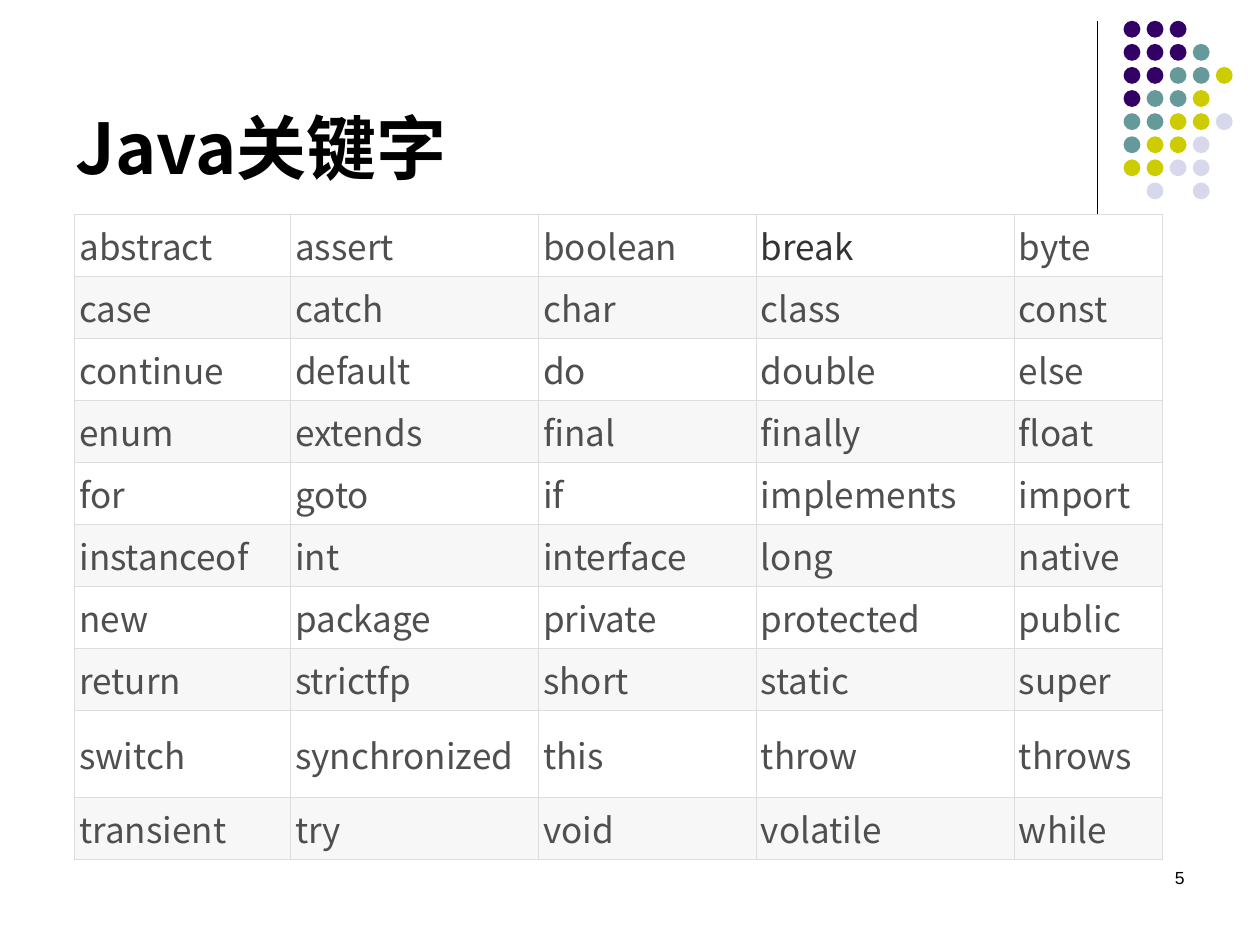
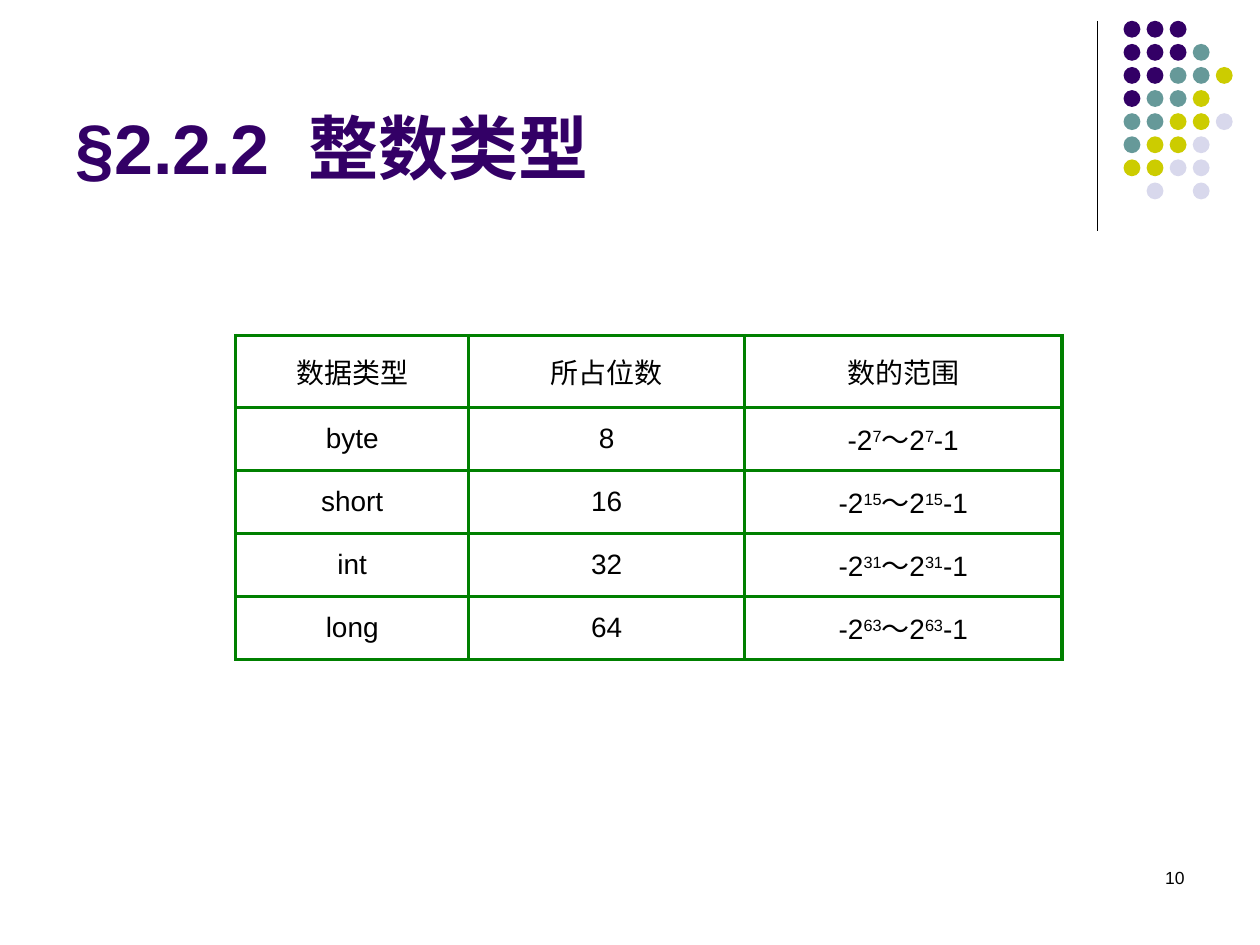
import lxml.etree
import pptx
import pptx.dml.color
import pptx.enum.shapes
import pptx.enum.text
import pptx.oxml.ns
import pptx.util

Cm = pptx.util.Cm
Pt = pptx.util.Pt
ALIGN = pptx.enum.text.PP_ALIGN
ANCHOR = pptx.enum.text.MSO_ANCHOR
qn = pptx.oxml.ns.qn

COLORS = {
    "black": "000000", "white": "FFFFFF", "purple": "330066", "teal": "669999",
    "olive": "CCCC00", "lavender": "D8D8EC", "text": "4F4F4F", "strong": "333333",
    "stripe": "F7F7F7", "grid": "DDDDDD", "green": "008000",
}
LATIN = "Arial"
CJK = "Noto Sans CJK SC"

DOT_COLORS = {"p": "purple", "t": "teal", "o": "olive", "l": "lavender"}
DOT_ROWS = ["ppp", "pppt", "pptto", "ptto", "ttool", "tool", "ooll", " l l"]

TITLE_BOX = (1.27, 0.33, 22.23, 3.6)
DOTS_BOX = (22.65, 0.42, 2.2, 3.6)
RULE_BOX = (22.12, 0.42, 0, 4.23)
NUMBER_BOX = (18.2, 17.35, 5.93, 1.27)
KEYWORDS_BOX = (1.5, 4.32, 21.94, 13.0)
INTEGERS_BOX = (4.75, 6.76, 16.66, 6.53)

KEYWORDS = """
abstract assert boolean break byte
case catch char class const
continue default do double else
enum extends final finally float
for goto if implements import
instanceof int interface long native
new package private protected public
return strictfp short static super
switch synchronized this throw throws
transient try void volatile while
"""
INTEGER_HEADER = ["数据类型", "所占位数", "数的范围"]
INTEGER_BITS = {"byte": 8, "short": 16, "int": 32, "long": 64}


def rgb(name):
    """Return the named palette colour."""
    return pptx.dml.color.RGBColor.from_string(COLORS[name])


def add_run(p, text, size, color="black", font=LATIN, bold=False):
    """Append a formatted run to a paragraph."""
    r = p.add_run()
    r.text = text
    r.font.size = Pt(size)
    r.font.bold = bold
    r.font.name = font
    r.font.color.rgb = rgb(color)
    ea = lxml.etree.SubElement(r._r.get_or_add_rPr(), qn("a:ea"))
    ea.set("typeface", CJK)
    return r


def add_text(slide, box, anchor, align):
    """Add a wrapping text box and return its paragraph."""
    tf = slide.shapes.add_textbox(*map(Cm, box)).text_frame
    tf.word_wrap = True
    tf.vertical_anchor = anchor
    p = tf.paragraphs[0]
    p.alignment = align
    return p


def add_rule(slide, box):
    """Draw the thin vertical rule along the box."""
    left, top, width, height = map(Cm, box)
    line = slide.shapes.add_connector(
        pptx.enum.shapes.MSO_CONNECTOR.STRAIGHT, left, top, left + width, top + height)
    line.line.color.rgb = rgb("black")
    line.line.width = Pt(0.75)
    lxml.etree.SubElement(line._element.spPr, qn("a:effectLst"))


def add_dots(slide, box):
    """Fill the box with the grouped pattern of coloured dots."""
    left, top, width, height = map(Cm, box)
    size = Cm(0.34)
    step_x = (width - size) / 4
    step_y = (height - size) / (len(DOT_ROWS) - 1)
    group = slide.shapes.add_group_shape()
    for i, row in enumerate(DOT_ROWS):
        for j, key in enumerate(row):
            if key == " ":
                continue
            sp = group.shapes.add_shape(
                pptx.enum.shapes.MSO_SHAPE.OVAL,
                int(left + j * step_x), int(top + i * step_y), size, size)
            sp.shadow.inherit = False
            sp.fill.solid()
            sp.fill.fore_color.rgb = rgb(DOT_COLORS[key])
            sp.line.fill.background()


def add_frame(prs, number):
    """Add a slide with the shared decoration and number; return it with its title paragraph."""
    slide = prs.slides.add_slide(prs.slide_layouts[6])
    add_rule(slide, RULE_BOX)
    add_dots(slide, DOTS_BOX)
    title = add_text(slide, TITLE_BOX, ANCHOR.BOTTOM, ALIGN.LEFT)
    p = add_text(slide, NUMBER_BOX, ANCHOR.TOP, ALIGN.RIGHT)
    add_run(p, str(number), 10)
    return slide, title


def add_grid(slide, box, col_parts, row_parts):
    """Add a plain table that divides the box in the given proportions."""
    left, top, width, height = map(Cm, box)
    table = slide.shapes.add_table(
        len(row_parts), len(col_parts), left, top, width, height).table
    table.first_row = False
    table.horz_banding = False
    for col, part in zip(table.columns, col_parts):
        col.width = int(width * part / sum(col_parts))
    for row, part in zip(table.rows, row_parts):
        row.height = int(height * part / sum(row_parts))
    return table


def style_cell(cell, border, border_width, fill=None, inset=None):
    """Set a cell's borders, fill, insets and anchor."""
    tc_pr = cell._tc.get_or_add_tcPr()
    for side in ("lnL", "lnR", "lnT", "lnB"):
        ln = lxml.etree.SubElement(tc_pr, qn("a:" + side), w=str(Pt(border_width)))
        solid = lxml.etree.SubElement(ln, qn("a:solidFill"))
        lxml.etree.SubElement(solid, qn("a:srgbClr"), val=COLORS[border])
    if fill:
        cell.fill.solid()
        cell.fill.fore_color.rgb = rgb(fill)
    else:
        cell.fill.background()
    if inset:
        cell.margin_left = cell.margin_right = Cm(inset)
        cell.margin_top = cell.margin_bottom = Cm(inset)
    cell.vertical_anchor = ANCHOR.MIDDLE


def add_keyword_table(slide, box):
    """Fill the box with the striped table of keywords."""
    rows = [line.split() for line in KEYWORDS.strip().splitlines()]
    heights = [1.75 if "switch" in row else 1.25 for row in rows]
    table = add_grid(slide, box, [4.35, 5, 4.39, 5.2, 3], heights)
    for i, row in enumerate(rows):
        for j, word in enumerate(row):
            cell = table.cell(i, j)
            style_cell(cell, "grid", 0.6, "stripe" if i % 2 else "white", 0.1)
            color = "strong" if word == "break" else "text"
            add_run(cell.text_frame.paragraphs[0], word, 20, color, CJK)


def add_integer_table(slide, box):
    """Fill the box with the table of integer types and their ranges."""
    rows = [[[text] for text in INTEGER_HEADER]]
    for name, bits in INTEGER_BITS.items():
        power = str(bits - 1)
        rows.append([[name], [str(bits)], ["-2", power, "～2", power, "-1"]])
    table = add_grid(slide, box, [4.7, 5.56, 6.4], [1.45] + [1.27] * len(INTEGER_BITS))
    for i, row in enumerate(rows):
        for j, pieces in enumerate(row):
            cell = table.cell(i, j)
            style_cell(cell, "green", 2)
            p = cell.text_frame.paragraphs[0]
            p.alignment = ALIGN.CENTER
            for k, piece in enumerate(pieces):
                r = add_run(p, piece, 16)
                if k % 2:
                    r._r.get_or_add_rPr().set("baseline", "30000")


def keywords_slide(prs):
    """Build the slide that lists the Java keywords."""
    slide, title = add_frame(prs, 5)
    add_run(title, "Java关键字", 40, font=CJK, bold=True)
    add_keyword_table(slide, KEYWORDS_BOX)


def integers_slide(prs):
    """Build the slide on the integer types."""
    slide, title = add_frame(prs, 10)
    add_run(title, "§2.2.2", 40, "purple", bold=True)
    gap = add_run(title, " ", 40, "purple", bold=True)
    gap._r.get_or_add_rPr().set("spc", "1100")
    add_run(title, "整数类型", 40, "purple", CJK, True)
    add_integer_table(slide, INTEGERS_BOX)


def main():
    """Build and save the presentation."""
    prs = pptx.Presentation()
    prs.slide_width = Cm(25.4)
    prs.slide_height = Cm(19.05)
    keywords_slide(prs)
    integers_slide(prs)
    prs.save("out.pptx")


if __name__ == "__main__":
    main()
